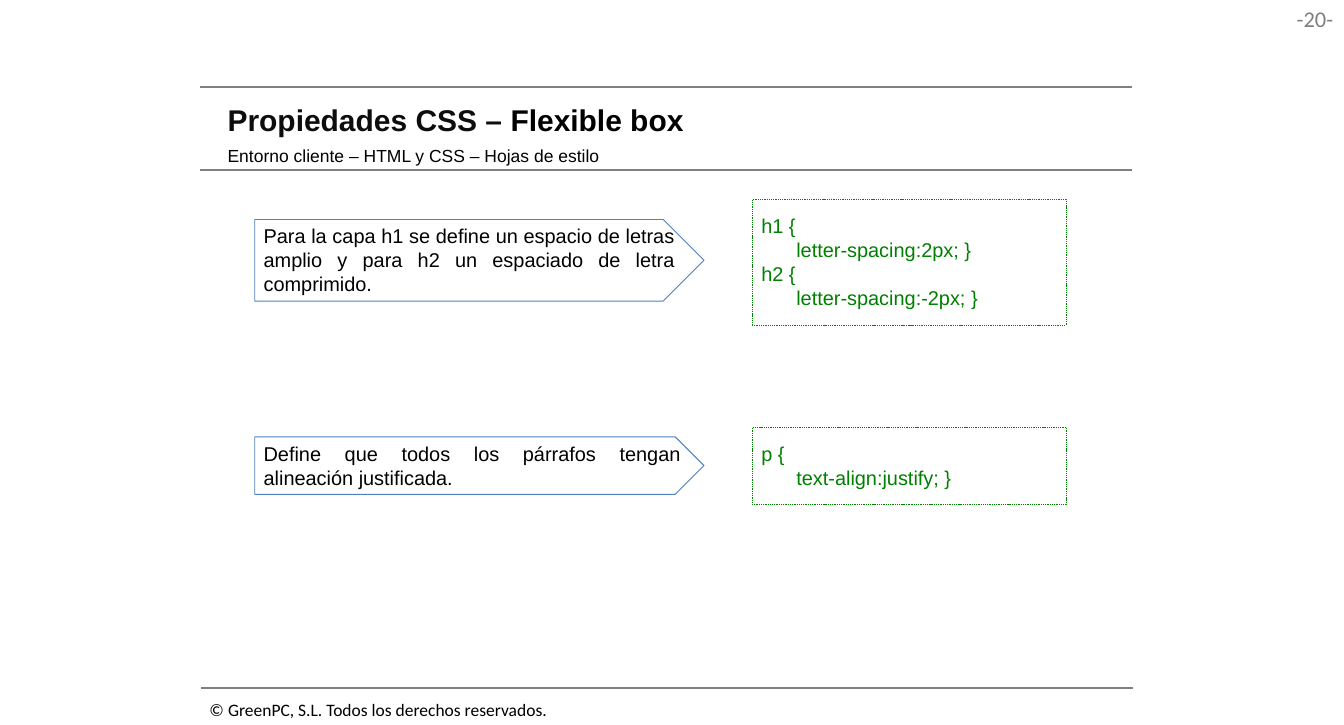
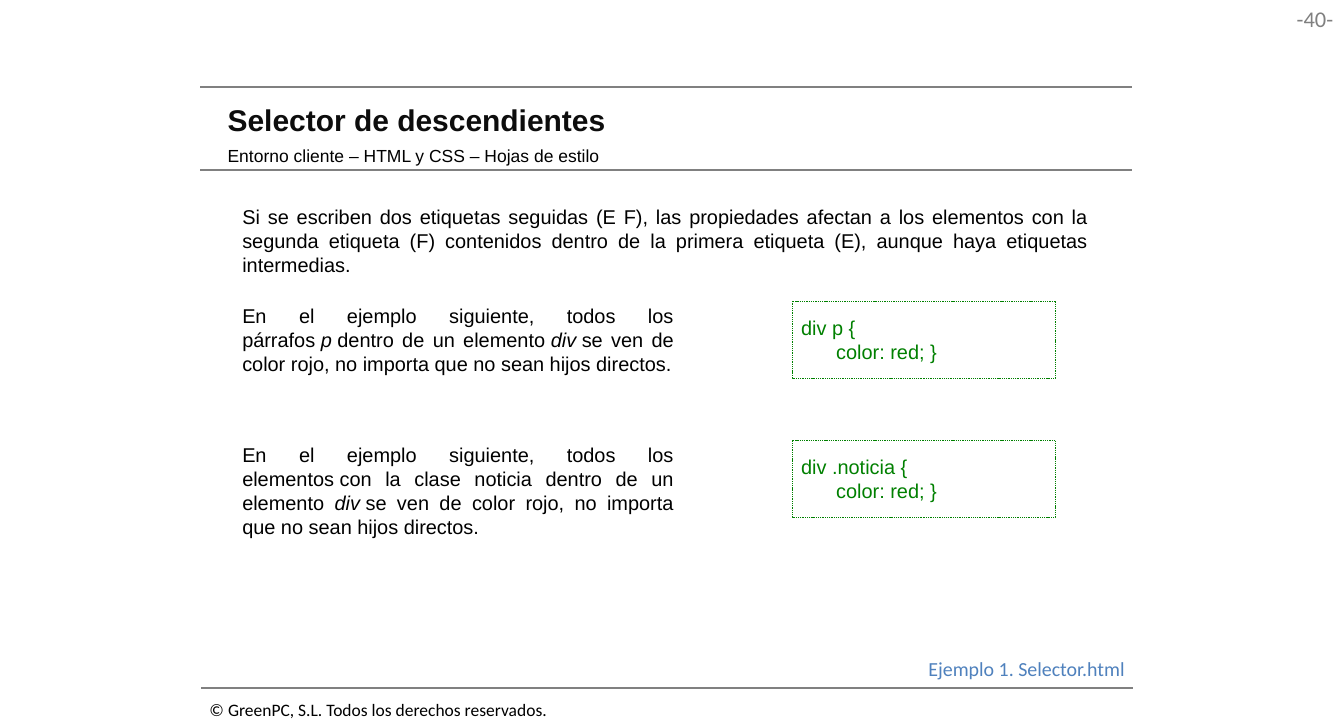
from dataclasses import dataclass
from typing import NamedTuple

from pptx import Presentation
from pptx.dml.color import RGBColor
from pptx.enum import dml, shapes, text
from pptx.oxml.xmlchemy import OxmlElement
from pptx.util import Pt

COLORS = {
    "title": "0D0D0D",
    "text": "000000",
    "code": "008000",
    "rule": "808080",
    "accent": "4F81BD",
    "paper": "FFFFFF",
}
WIDTH, HEIGHT = 1077.1, 581
LINE_HEIGHT = 19.4  # one line of 16 pt Arial
CODE_TAB = 28.1
PLAIN_INSETS = (7.2, 3.6)
CODE_INSETS = (7.2, 11.5)
HEADER_INSETS = (9.4, 5)
NBSP = chr(160)  # keeps a word on the line of its neighbour
SUBTITLE = "Entorno cliente – HTML y CSS – Hojas de estilo"
COPYRIGHT = "© GreenPC, S.L. Todos los derechos reservados."


class Run(NamedTuple):
    text: str
    color: str = ""
    italic: bool = False


class Rule(NamedTuple):
    left: float
    top: float
    length: float = 746.6


@dataclass
class Code:
    left: float
    top: float
    width: float
    lines: list[str]


@dataclass
class Note:
    left: float
    top: float
    width: float
    line_count: int
    runs: list[Run]
    arrow: bool = False


@dataclass
class Page:
    number: int
    title: list[Run]
    notes: list[Note]
    codes: list[Code]
    example: str = ""


RULES = [Rule(160.6, 69.4), Rule(160.6, 136.5), Rule(161.3, 551.5)]
DIV = Run("div", italic=True)
RED_RESULT = Run(f"{NBSP}se ven de color rojo, no importa que no sean "
                 "hijos directos.")

PAGES = [
    Page(
        20,
        [Run("Propiedades CSS – "), Run("Flexible box", "text")],
        [
            Note(204.2, 175.9, 360, 3, [Run(
                "Para la capa h1 se define un espacio de letras amplio "
                "y para h2 un espaciado de letra comprimido.")], arrow=True),
            Note(204.2, 350.1, 360, 2, [Run(
                "Define que todos los párrafos tengan alineación "
                "justificada.")], arrow=True),
        ],
        [
            Code(603, 159.8, 251.3, [
                "h1 {", "\tletter-spacing:2px; }",
                "h2 {", "\tletter-spacing:-2px; }"]),
            Code(603, 342.5, 251.3, ["p {", "\ttext-align:justify; }"]),
        ],
    ),
    Page(
        40,
        [Run("Selector de descendientes")],
        [
            Note(187.1, 160.6, 691.9, 3, [Run(
                "Si se escriben dos etiquetas seguidas (E F), las propiedades "
                "afectan a los elementos con la segunda etiqueta (F) "
                "contenidos dentro de la primera etiqueta (E), aunque haya "
                "etiquetas intermedias.")]),
            Note(187.1, 239.8, 360, 3, [
                Run(f"En el ejemplo siguiente, todos los párrafos{NBSP}"),
                Run("p", italic=True),
                Run(f"{NBSP}dentro de un elemento{NBSP}"),
                DIV, RED_RESULT]),
            Note(187.1, 351.4, 360, 4, [
                Run(f"En el ejemplo siguiente, todos los elementos{NBSP}con "
                    "la clase noticia dentro de un elemento "),
                DIV, RED_RESULT]),
        ],
        [
            Code(635, 241.2, 211, ["div p {", "\tcolor: red; }"]),
            Code(635, 352.8, 211, ["div .noticia {", "\tcolor: red; }"]),
        ],
        "Ejemplo 1. Selector.html",
    ),
]


def rgb(name: str) -> RGBColor:
    return RGBColor.from_string(COLORS[name])


def box_height(line_count: int, insets: tuple[float, float]) -> float:
    return line_count * LINE_HEIGHT + 2 * insets[1]


def add_tab(p, position: float) -> None:
    tabs = OxmlElement("a:tabLst")
    tab = OxmlElement("a:tab")
    tab.set("pos", str(int(Pt(position))))
    tab.set("algn", "l")
    tabs.append(tab)
    p._p.get_or_add_pPr().append(tabs)


def write(sp, paragraphs: list[list[Run]], *, size: float = 16,
          font: str = "Arial", color: str = "text", bold: bool = False,
          align=text.PP_ALIGN.LEFT, anchor=text.MSO_ANCHOR.TOP,
          insets: tuple[float, float] = PLAIN_INSETS, wrap: bool = True,
          tab: float = 0) -> None:
    """Fill a shape with paragraphs, each a list of runs."""
    tf = sp.text_frame
    tf.auto_size = text.MSO_AUTO_SIZE.NONE
    tf.word_wrap = wrap
    tf.vertical_anchor = anchor
    tf.margin_left = tf.margin_right = Pt(insets[0])
    tf.margin_top = tf.margin_bottom = Pt(insets[1])
    for i, runs in enumerate(paragraphs):
        p = tf.add_paragraph() if i else tf.paragraphs[0]
        p.alignment = align
        if tab:
            add_tab(p, tab)
        for run in runs:
            r = p.add_run()
            r.text = run.text
            r.font.name = font
            r.font.size = Pt(size)
            r.font.bold = bold
            r.font.italic = run.italic
            r.font.color.rgb = rgb(run.color or color)


def add_text(s, left: float, top: float, width: float, height: float,
             runs: list[Run], **fmt) -> None:
    sp = s.shapes.add_textbox(Pt(left), Pt(top), Pt(width), Pt(height))
    write(sp, [runs], **fmt)


def add_outline(s, kind, left: float, top: float, width: float, height: float,
                color: str, weight: float):
    """Add an unfilled preset shape with a coloured border."""
    sp = s.shapes.add_shape(kind, Pt(left), Pt(top), Pt(width), Pt(height))
    sp.shadow.inherit = False
    sp.fill.background()
    sp.line.color.rgb = rgb(color)
    sp.line.width = Pt(weight)
    return sp


def add_rule(s, rule: Rule) -> None:
    line = s.shapes.add_connector(
        shapes.MSO_CONNECTOR.STRAIGHT, Pt(rule.left), Pt(rule.top),
        Pt(rule.left + rule.length), Pt(rule.top))
    line.line.color.rgb = rgb("rule")
    line.line.width = Pt(1.5)
    line._element.spPr.append(OxmlElement("a:effectLst"))


def add_code(s, code: Code) -> None:
    sp = add_outline(s, shapes.MSO_SHAPE.RECTANGLE, code.left, code.top,
                     code.width, box_height(len(code.lines), CODE_INSETS),
                     "code", 0.25)
    sp.fill.solid()
    sp.fill.fore_color.rgb = rgb("paper")
    sp.line.dash_style = dml.MSO_LINE.DASH
    write(sp, [[Run(line)] for line in code.lines], color="code",
          insets=CODE_INSETS, tab=CODE_TAB)


def add_note(s, note: Note) -> None:
    box = (note.left, note.top, note.width,
           box_height(note.line_count, PLAIN_INSETS))
    if note.arrow:
        sp = add_outline(s, shapes.MSO_SHAPE.PENTAGON, *box, "accent", 0.75)
        write(sp, [note.runs], align=text.PP_ALIGN.JUSTIFY)
    else:
        add_text(s, *box, note.runs, align=text.PP_ALIGN.JUSTIFY)


def add_frame(s, page: Page) -> None:
    """Add the title, rules, page number and footer."""
    title = s.shapes.title
    title.left, title.top = Pt(173), Pt(76.3)
    title.width, title.height = Pt(728.6), Pt(38.9)
    write(title, [page.title], size=24, color="title", bold=True,
          anchor=text.MSO_ANCHOR.MIDDLE, insets=HEADER_INSETS)
    add_text(s, 173, 111.6, 547.2, 26.6, [Run(SUBTITLE)], size=14,
             anchor=text.MSO_ANCHOR.MIDDLE, insets=HEADER_INSETS)
    for rule in RULES:
        add_rule(s, rule)
    add_text(s, WIDTH - 59.7, 0.5, 59, 29.5, [Run(f"-{page.number}-")],
             size=18, font="Calibri", color="rule",
             align=text.PP_ALIGN.RIGHT, insets=(7.9, 3.6))
    add_text(s, 160.8, 556.6, 287.3, 24.4, [Run(COPYRIGHT)], size=14,
             font="Calibri", wrap=False)


def add_page(prs, page: Page) -> None:
    s = prs.slides.add_slide(prs.slide_layouts.get_by_name("Title Only"))
    add_frame(s, page)
    for code in page.codes:
        add_code(s, code)
    for note in page.notes:
        add_note(s, note)
    if page.example:
        add_text(s, 737, 522.7, 174.2, 26.6, [Run(page.example)],
                 font="Calibri", color="accent", wrap=False)


def main() -> None:
    prs = Presentation()
    prs.slide_width, prs.slide_height = Pt(WIDTH), Pt(HEIGHT)
    for page in PAGES:
        add_page(prs, page)
    prs.save("out.pptx")


if __name__ == "__main__":
    main()
